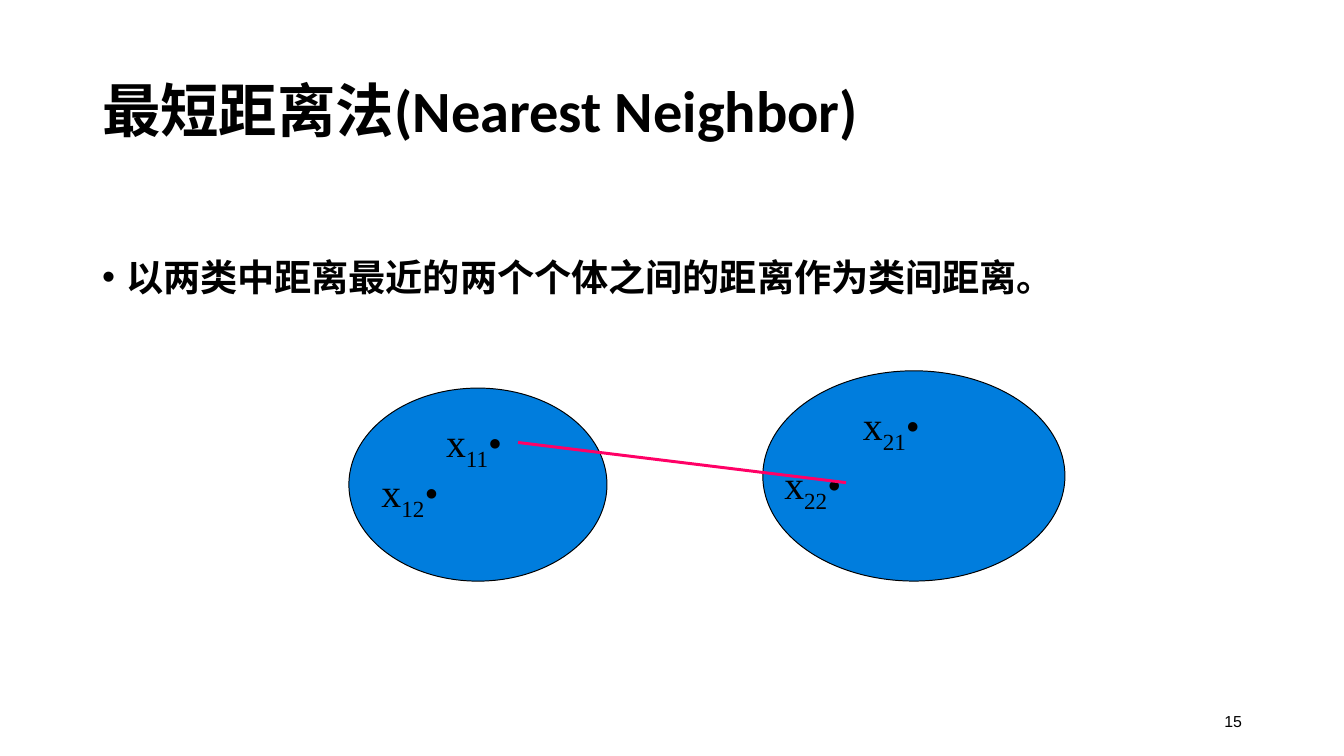
from dataclasses import dataclass

from lxml import etree
from pptx import Presentation
from pptx import util as u
from pptx.dml.color import RGBColor as Rgb
from pptx.enum import shapes as sh, text as tx
from pptx.oxml.ns import qn


@dataclass(frozen=True)
class Theme:
    """Colours, fonts and type sizes of the slide."""
    ink: str = "000000"
    group: str = "007DDD"
    link: str = "FF0066"
    head: str = "Calibri"
    serif: str = "Times New Roman"
    foot: str = "Arial"
    title: int = 44
    body: int = 28
    label: int = 30
    small: int = 12


T = Theme()
WIDE, HIGH = u.Inches(14.06), u.Inches(7.91)
COL, ROW = WIDE / 100, HIGH / 100
LABEL = (5.97, 7.71)


def place(x, y, w, h):
    """Turn grid columns and rows into slide lengths."""
    return int(x * COL), int(y * ROW), int(w * COL), int(h * ROW)


def frame(slide, box, anchor=tx.MSO_ANCHOR.TOP):
    """Add a wrapping text box and return its text frame."""
    area = slide.shapes.add_textbox(*place(*box)).text_frame
    area.word_wrap = True
    area.vertical_anchor = anchor
    return area


def write(para, words, face, size, bold=False, base=0):
    """Add one run, lowered by base thousandths of a percent."""
    run = para.add_run()
    run.text = words
    font = run.font
    font.name, font.size, font.bold = face, u.Pt(size), bold
    font.color.rgb = Rgb.from_string(T.ink)
    if base:
        run._r.get_or_add_rPr().set("baseline", str(base))


def title(slide, box, words):
    """Place the heading in its box."""
    para = frame(slide, box, tx.MSO_ANCHOR.MIDDLE).paragraphs[0]
    para.line_spacing = 0.9
    write(para, words, T.head, T.title, True)


def body(slide, box, words):
    """Place the bulleted statement in its box."""
    para = frame(slide, box).paragraphs[0]
    para.line_spacing = 0.9
    props = para._p.get_or_add_pPr()
    props.set("marL", str(u.Inches(0.25)))
    props.set("indent", str(-u.Inches(0.25)))
    etree.SubElement(props, qn("a:buFont")).set("typeface", T.foot)
    etree.SubElement(props, qn("a:buChar")).set("char", "•")
    write(para, words, T.head, T.body, True)


def cluster(slide, box, points):
    """Draw an ellipse with labelled points at shares of its box."""
    oval = slide.shapes.add_shape(sh.MSO_SHAPE.OVAL, *place(*box))
    oval.shadow.inherit = False
    oval.fill.solid()
    oval.fill.fore_color.rgb = Rgb.from_string(T.group)
    oval.line.color.rgb = Rgb.from_string(T.ink)
    oval.line.width = u.Pt(0.75)
    x, y, w, h = box
    for index, across, down in points:
        spot = (x + across * w, y + down * h, *LABEL)
        para = frame(slide, spot).paragraphs[0]
        for words, base in (("x", 0), (index, -25000), ("•", 0)):
            write(para, words, T.serif, T.label, base=base)


def link(slide, box):
    """Draw the shortest distance across its box."""
    x, y, w, h = place(*box)
    line = slide.shapes.add_connector(sh.MSO_CONNECTOR.STRAIGHT, x, y, x + w, y + h)
    line.line.color.rgb = Rgb.from_string(T.link)
    line.line.width = u.Pt(2.25)
    etree.SubElement(line._element.spPr, qn("a:effectLst"))


def footer(slide, box, words):
    """Place the page number at the right of its box."""
    para = frame(slide, box, tx.MSO_ANCHOR.MIDDLE).paragraphs[0]
    para.alignment = tx.PP_ALIGN.RIGHT
    write(para, words, T.foot, T.small)


def main():
    """Build the slide and save it."""
    deck = Presentation()
    deck.slide_width, deck.slide_height = WIDE, HIGH
    slide = deck.slides.add_slide(deck.slide_layouts[6])
    title(slide, (6.9, 5.31, 86.27, 19.34), "最短距离法(Nearest Neighbor)")
    body(slide, (6.9, 33.63, 86.27, 56.5),
         "以两类中距离最近的两个个体之间的距离作为类间距离。")
    cluster(slide, (25.96, 51.33, 19.2, 25.54),
            (("11", 0.34, 0.13), ("12", 0.09, 0.39)))
    cluster(slide, (56.76, 49.05, 22.48, 27.81),
            (("21", 0.3, 0.12), ("22", 0.04, 0.4)))
    link(slide, (38.55, 58.53, 24.4, 5.31))
    footer(slide, (70.63, 92.67, 22.48, 5.31), "15")
    deck.save("out.pptx")


if __name__ == "__main__":
    main()
